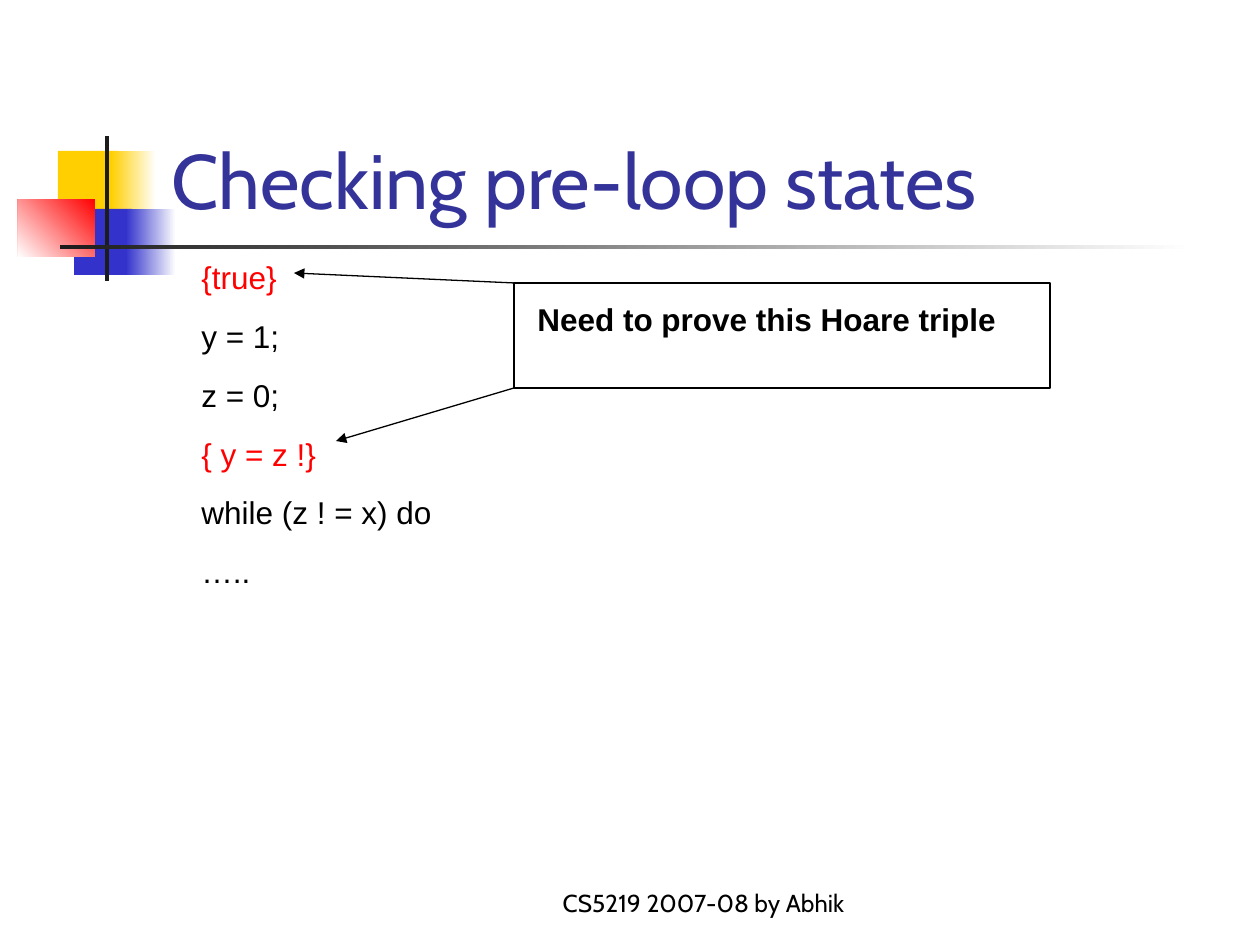
from pptx import Presentation
from pptx.dml.color import RGBColor
from pptx.enum.shapes import MSO_CONNECTOR, MSO_SHAPE
from pptx.enum.text import MSO_ANCHOR, PP_ALIGN
from pptx.oxml.ns import qn
from pptx.util import Emu, Pt
from lxml import etree

RECTANGLE = MSO_SHAPE.RECTANGLE
STRAIGHT = MSO_CONNECTOR.STRAIGHT
TOP, BOTTOM = MSO_ANCHOR.TOP, MSO_ANCHOR.BOTTOM
LEFT, CENTER = PP_ALIGN.LEFT, PP_ALIGN.CENTER

EMU_PER_PX = 914400 / 126
WHITE, BLACK, RED = "FFFFFF", "000000", "FF0000"
YELLOW, BLUE, CHARCOAL, TITLE_BLUE = "FFCF01", "3333CC", "1C1C1C", "333399"


def px(length):
    return Emu(round(length * EMU_PER_PX))


def color(hex_string):
    return RGBColor.from_string(hex_string)


def add_rectangle(slide, box):
    shape = slide.shapes.add_shape(RECTANGLE, *map(px, box))
    shape.shadow.inherit = False
    return shape


def add_solid(slide, box, fill):
    shape = add_rectangle(slide, box)
    shape.fill.solid()
    shape.fill.fore_color.rgb = color(fill)
    shape.line.fill.background()


def add_gradient(slide, box, start, end, angle=180):
    """Fade from start to end; the angle runs counter-clockwise."""
    shape = add_rectangle(slide, box)
    shape.fill.gradient()
    shape.fill.gradient_angle = angle
    for stop, position, stop_color in zip(shape.fill.gradient_stops, (0, 1), (start, end)):
        stop.position = position
        stop.color.rgb = color(stop_color)
    shape.line.fill.background()


def add_frame(slide, box):
    shape = add_rectangle(slide, box)
    shape.fill.background()
    shape.line.color.rgb = color(BLACK)
    shape.line.width = Pt(0.75)


def add_text(slide, box, lines, size, font_name, bold=False,
             anchor=TOP, alignment=LEFT, space_before=0):
    """Each line is a (text, color) pair and becomes one paragraph."""
    frame = slide.shapes.add_textbox(*map(px, box)).text_frame
    frame.word_wrap = True
    frame.vertical_anchor = anchor
    for index, (text, text_color) in enumerate(lines):
        paragraph = frame.add_paragraph() if index else frame.paragraphs[0]
        paragraph.alignment = alignment
        if index:
            paragraph.space_before = Pt(space_before)
        run = paragraph.add_run()
        run.text = text
        run.font.size = Pt(size)
        run.font.name = font_name
        run.font.bold = bold
        run.font.color.rgb = color(text_color)


def add_arrow(slide, start, end):
    connector = slide.shapes.add_connector(STRAIGHT, *map(px, start + end))
    connector.line.color.rgb = color(BLACK)
    connector.line.width = Pt(0.75)
    line = connector.line._get_or_add_ln()
    etree.SubElement(line, qn("a:tailEnd"), type="triangle")
    etree.SubElement(connector._element.spPr, qn("a:effectLst"))


def add_decoration(slide):
    add_solid(slide, (58, 151, 60, 66), YELLOW)
    add_gradient(slide, (111, 151, 45, 66), WHITE, YELLOW)
    add_solid(slide, (74, 209, 58, 66), BLUE)
    add_gradient(slide, (126, 209, 50, 66), WHITE, BLUE)
    add_gradient(slide, (18, 199, 77, 58), RED, WHITE, angle=225)
    add_solid(slide, (105, 136, 4, 145), CHARCOAL)
    add_gradient(slide, (60, 245, 1134, 4), WHITE, CHARCOAL)


def main():
    presentation = Presentation()
    presentation.slide_width = px(1260)
    presentation.slide_height = px(945)
    slide = presentation.slides.add_slide(presentation.slide_layouts[6])

    # Corner squares and rules, then the title
    add_decoration(slide)
    add_text(slide, (159, 29, 1074, 202), [("Checking pre-loop states", TITLE_BLUE)],
             44, "Cabin", anchor=BOTTOM)

    # Program with its assertions in red
    program = [
        ("{true}", RED),
        ("y = 1;", BLACK),
        ("z = 0;", BLACK),
        ("{ y = z !}", RED),
        ("while (z ! = x) do", BLACK),
        ("…..", BLACK),
    ]
    add_text(slide, (189, 252, 347, 338), program, 18, "Arial", space_before=12)

    # Callout pointing at both assertions
    left, top, width, height = callout = (514, 283, 536, 105)
    add_frame(slide, callout)
    add_text(slide, (525, 294, 536, 50), [("Need to prove this Hoare triple", BLACK)],
             18, "Arial", bold=True)
    add_arrow(slide, (left, top), (294, 273))
    add_arrow(slide, (left, top + height), (336, 441))

    # Footer
    add_text(slide, (504, 861, 399, 63), [("CS5219 2007-08 by Abhik", BLACK)],
             14, "Cabin", anchor=BOTTOM, alignment=CENTER)

    presentation.save("out.pptx")


if __name__ == "__main__":
    main()
